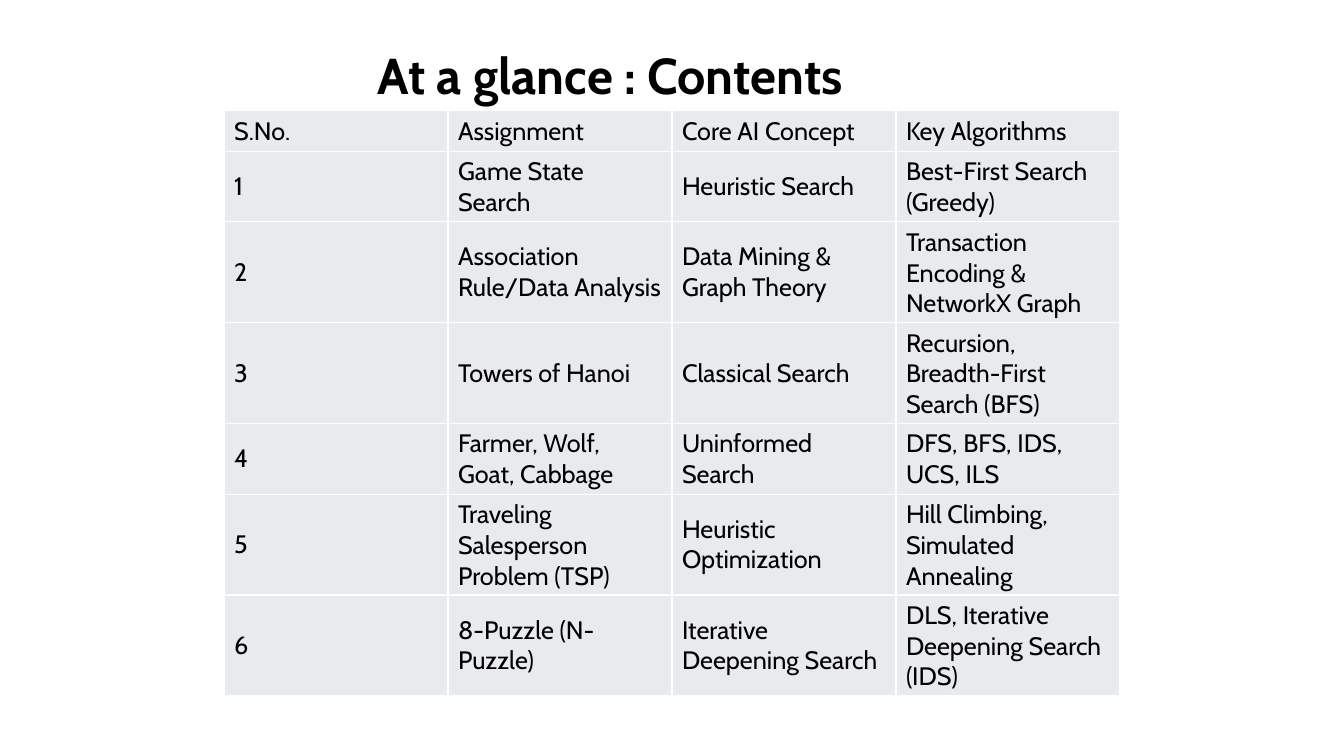
"""Build the contents slide: a title above a table of AI assignments."""
from lxml import etree
from pptx import Presentation
from pptx.dml.color import RGBColor
from pptx.enum.text import MSO_ANCHOR, MSO_AUTO_SIZE
from pptx.oxml.ns import qn
from pptx.util import Pt

MIDDLE = MSO_ANCHOR.MIDDLE
GROW = MSO_AUTO_SIZE.SHAPE_TO_FIT_TEXT
FONT = "Cabin"
COLORS = {"text": "000000", "cell": "E8EAED", "border": "FFFFFF"}
COLUMN_WIDTH = 160
LINE_HEIGHT = 21.6
ROW_PADDING = 7.2

CONTENTS = [
    (1, ["S.No.", "Assignment", "Core AI Concept", "Key Algorithms"]),
    (2, ["1", "Game State Search", "Heuristic Search", "Best-First Search (Greedy)"]),
    (3, ["2", "Association Rule/Data Analysis", "Data Mining & Graph Theory",
         "Transaction Encoding & NetworkX Graph"]),
    (3, ["3", "Towers of Hanoi", "Classical Search", "Recursion, Breadth-First Search (BFS)"]),
    (2, ["4", "Farmer, Wolf, Goat, Cabbage", "Uninformed Search", "DFS, BFS, IDS, UCS, ILS"]),
    (3, ["5", "Traveling Salesperson Problem (TSP)", "Heuristic Optimization",
         "Hill Climbing, Simulated Annealing"]),
    (3, ["6", "8-Puzzle (N-Puzzle)", "Iterative Deepening Search",
         "DLS, Iterative Deepening Search (IDS)"]),
]


def write_text(text_frame, text, size, bold=False):
    text_frame.text = text
    font = text_frame.paragraphs[0].runs[0].font
    font.name = FONT
    font.size = Pt(size)
    font.bold = bold
    font.color.rgb = RGBColor.from_string(COLORS["text"])


def style_cell(cell):
    cell.vertical_anchor = MIDDLE
    properties = cell._tc.get_or_add_tcPr()
    for side in ("a:lnL", "a:lnR", "a:lnT", "a:lnB"):
        line = etree.SubElement(properties, qn(side), w=str(Pt(1)))
        fill = etree.SubElement(line, qn("a:solidFill"))
        etree.SubElement(fill, qn("a:srgbClr"), val=COLORS["border"])
    cell.fill.solid()
    cell.fill.fore_color.rgb = RGBColor.from_string(COLORS["cell"])


presentation = Presentation()
presentation.slide_width = Pt(960)
presentation.slide_height = Pt(540)
slide = presentation.slides.add_slide(presentation.slide_layouts[6])

title = slide.shapes.add_textbox(Pt(262.8), Pt(28.08), Pt(417.6), Pt(51.12))
title.text_frame.word_wrap = True
title.text_frame.auto_size = GROW
write_text(title.text_frame, "At a glance : Contents", 36, bold=True)

column_count = len(CONTENTS[0][1])
table_height = sum(ROW_PADDING + LINE_HEIGHT * lines for lines, _ in CONTENTS)
table = slide.shapes.add_table(
    len(CONTENTS), column_count, Pt(160), Pt(79.2),
    Pt(COLUMN_WIDTH * column_count), Pt(table_height)).table
table.first_row = False
table.horz_banding = False

for column in table.columns:
    column.width = Pt(COLUMN_WIDTH)
for row, (lines, texts) in zip(table.rows, CONTENTS):
    row.height = Pt(ROW_PADDING + LINE_HEIGHT * lines)
    for cell, text in zip(row.cells, texts):
        write_text(cell.text_frame, text, 18)
        style_cell(cell)

presentation.save("out.pptx")
